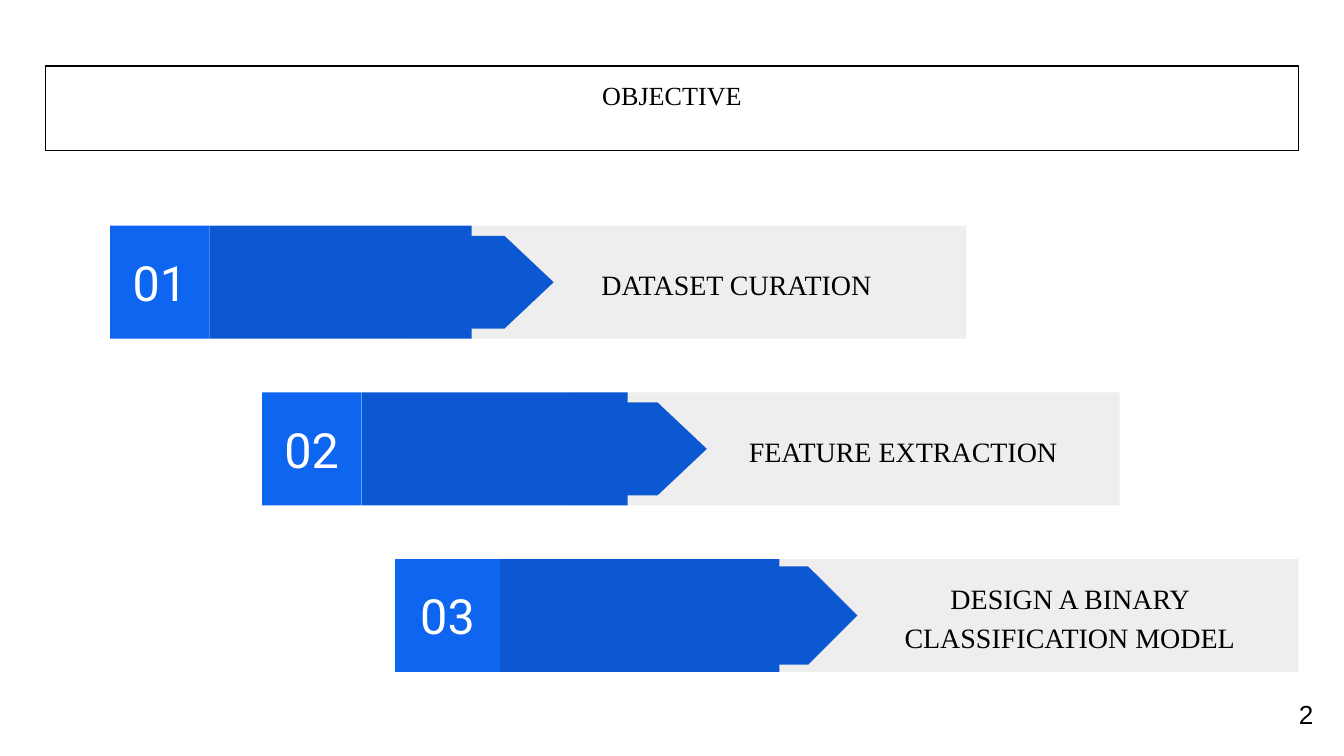
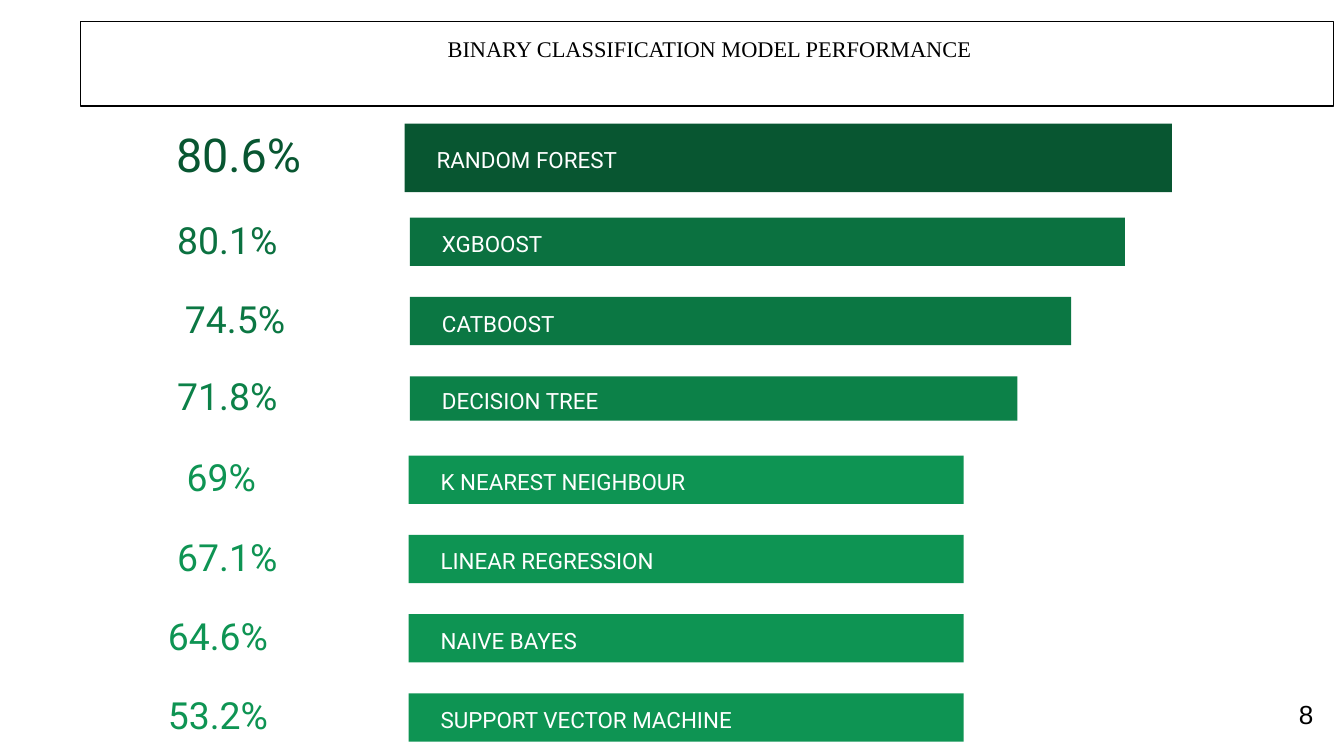
from dataclasses import dataclass

from pptx import Presentation
from pptx.dml.color import RGBColor
from pptx.enum.shapes import MSO_SHAPE
from pptx.enum.text import MSO_ANCHOR, PP_ALIGN
from pptx.util import Inches, Pt

RECTANGLE = MSO_SHAPE.RECTANGLE
POINTER = MSO_SHAPE.FLOWCHART_OFFPAGE_CONNECTOR
TOP, MIDDLE = MSO_ANCHOR.TOP, MSO_ANCHOR.MIDDLE
LEFT, CENTER, RIGHT = PP_ALIGN.LEFT, PP_ALIGN.CENTER, PP_ALIGN.RIGHT

BLACK, WHITE = "000000", "FFFFFF"
TRAY_GRAY, STEM_BLUE, NUMBER_BLUE = "EEEEEE", "0C58D3", "0E65F0"
SERIF, SANS, FOOTER_FONT = "Times New Roman", "Roboto", "Arial"

PAGE_WIDTH = Inches(10)
PAGE_HEIGHT = PAGE_WIDTH * 9 // 16
STEP_TOP, STEP_PITCH, STEP_HEIGHT = 1.68, 1.24, 0.84
POINTER_LENGTH, TRAY_OVERLAP = 1.83, 0.43
ROW_TOP, ROW_PITCH = 1.62, 0.59


@dataclass
class Step:
    number: str
    label: str
    left: float
    number_width: float
    stem_width: float
    tip: float
    pointer_height: float
    tray_right: float
    label_left: float
    label_width: float
    label_height: float


@dataclass
class Score:
    """One model: its value text starts at value_left plus indent."""
    value: str
    model: str
    color: str
    width: float
    value_left: float
    indent: float
    align: int = LEFT
    left: float = 3.04
    height: float = 0.36
    size: int = 20


STEPS = [
    Step("01", "DATASET CURATION", 0.82, 0.74, 1.95, 4.12, 0.69, 7.19, 4.34, 2.28, 0.64),
    Step("02", "FEATURE EXTRACTION", 1.95, 0.74, 1.98, 5.26, 0.69, 8.33, 5.47, 2.5, 0.64),
    Step("03", "DESIGN A BINARY CLASSIFICATION MODEL",
         2.94, 0.78, 2.08, 6.38, 0.73, 9.66, 6.38, 3.16, 0.84),
]

BEST_SCORE = Score("80.6%", "RANDOM FOREST", "085631", 5.71, 0.45, 0.17, CENTER, 3.01, 0.51, 25)
OTHER_SCORES = [
    Score("80.1%", "XGBOOST", "0B7140", 5.32, 0.6, 0.62, left=3.05),
    Score("74.5%", "CATBOOST", "0B7743", 4.92, 0.53, 0, CENTER, left=3.05),
    Score("71.8%", "DECISION TREE", "0C8148", 4.52, 0.6, 0.62, left=3.05, height=0.33),
    Score("69%", "K NEAREST NEIGHBOUR", "0E9453", 4.13, 0.74, 0.55),
    Score("67.1%", "LINEAR REGRESSION", "0E9453", 4.13, 0.74, 0.48),
    Score("64.6%", "NAIVE BAYES", "0E9453", 4.13, 0.74, 0.41),
    Score("53.2%", "SUPPORT VECTOR MACHINE", "0E9453", 4.13, 0.74, 0.41),
]


def rgb(value):
    return RGBColor.from_string(value)


def write(box, text, font, size, color=BLACK, align=CENTER, anchor=MIDDLE,
          spacing=1.0, inset=0.1, indent=0):
    frame = box.text_frame
    formats = {
        "word_wrap": True, "vertical_anchor": anchor,
        "margin_left": Inches(0.1), "margin_right": Inches(0.1),
        "margin_top": Inches(inset), "margin_bottom": Inches(inset),
    }
    for name, value in formats.items():
        setattr(frame, name, value)
    para = frame.paragraphs[0]
    para.alignment = align
    para.line_spacing = spacing
    if indent:
        para._p.get_or_add_pPr().set("marL", str(Inches(indent)))
    span = para.add_run()
    span.text = text
    for name, value in {"name": font, "size": Pt(size)}.items():
        setattr(span.font, name, value)
    span.font.color.rgb = rgb(color)


def add_text(shapes, left, top, width, height, text, font, size, **formats):
    box = shapes.add_textbox(Inches(left), Inches(top), Inches(width), Inches(height))
    write(box, text, font, size, **formats)
    return box


def add_block(shapes, left, top, width, height, fill, kind=RECTANGLE):
    block = shapes.add_shape(kind, Inches(left), Inches(top), Inches(width), Inches(height))
    block.shadow.inherit = False
    block.fill.solid()
    block.fill.fore_color.rgb = rgb(fill)
    block.line.fill.background()
    return block


def add_page(deck, title, left, top, size, number, indent=0):
    """Add a page with its framed title and page number."""
    page = deck.slides.add_slide(deck.slide_layouts[6])
    frame = add_text(page.shapes, left, top, 9.32, 0.63, title, SERIF, size,
                     anchor=TOP, indent=indent)
    frame.line.color.rgb = rgb(BLACK)
    frame.line.width = Pt(0.75)
    add_text(page.shapes, 9.27, 5.1, 0.6, 0.43, number, FOOTER_FONT, 14, align=RIGHT)
    return page


def add_step(page, step, top):
    shapes = page.shapes.add_group_shape().shapes
    middle = top + STEP_HEIGHT / 2
    stem_left = step.left + step.number_width
    stem_right = stem_left + step.stem_width
    tray_left = stem_right - TRAY_OVERLAP
    add_block(shapes, tray_left, top, step.tray_right - tray_left, STEP_HEIGHT, TRAY_GRAY)
    add_block(shapes, stem_left, top, step.stem_width, STEP_HEIGHT, STEM_BLUE)
    # The pointer is upright before its turn, so its width becomes its height.
    pointer_middle = step.tip - POINTER_LENGTH / 2
    pointer = add_block(shapes, pointer_middle - step.pointer_height / 2,
                        middle - POINTER_LENGTH / 2, step.pointer_height,
                        POINTER_LENGTH, STEM_BLUE, POINTER)
    pointer.rotation = 270
    tile = add_block(shapes, step.left, top, step.number_width, STEP_HEIGHT, NUMBER_BLUE)
    write(tile, step.number, SANS, 26, WHITE)
    add_text(shapes, step.label_left, middle - step.label_height / 2, step.label_width,
             step.label_height, step.label, SERIF, 15, spacing=1.15)


def add_score(page, score, top):
    shapes = page.shapes.add_group_shape().shapes
    middle = top + score.height / 2
    value_height = score.height - 0.05
    add_text(shapes, score.value_left, middle - value_height / 2,
             score.left - 0.08 - score.value_left, value_height, score.value, SANS,
             score.size, color=score.color, align=score.align, spacing=0.9,
             inset=0.05, indent=score.indent)
    add_block(shapes, score.left, top, score.width, score.height, score.color)
    label_height = score.height - 0.2
    add_text(shapes, score.left + 0.14, middle - label_height / 2, score.width * 0.9,
             label_height, score.model, SANS, 12, color=WHITE, align=LEFT,
             spacing=1.15, inset=0.05)


def build_objective(deck):
    page = add_page(deck, "OBJECTIVE", 0.34, 0.49, 14, "2")
    for index, step in enumerate(STEPS):
        add_step(page, step, STEP_TOP + index * STEP_PITCH)


def build_performance(deck):
    page = add_page(deck, "BINARY CLASSIFICATION MODEL PERFORMANCE",
                    0.6, 0.16, 12, "8", indent=0.04)
    add_score(page, BEST_SCORE, 0.92)
    for index, score in enumerate(OTHER_SCORES):
        add_score(page, score, ROW_TOP + index * ROW_PITCH)


def main():
    deck = Presentation()
    deck.slide_width, deck.slide_height = PAGE_WIDTH, PAGE_HEIGHT
    build_objective(deck)
    build_performance(deck)
    deck.save("out.pptx")


if __name__ == "__main__":
    main()
